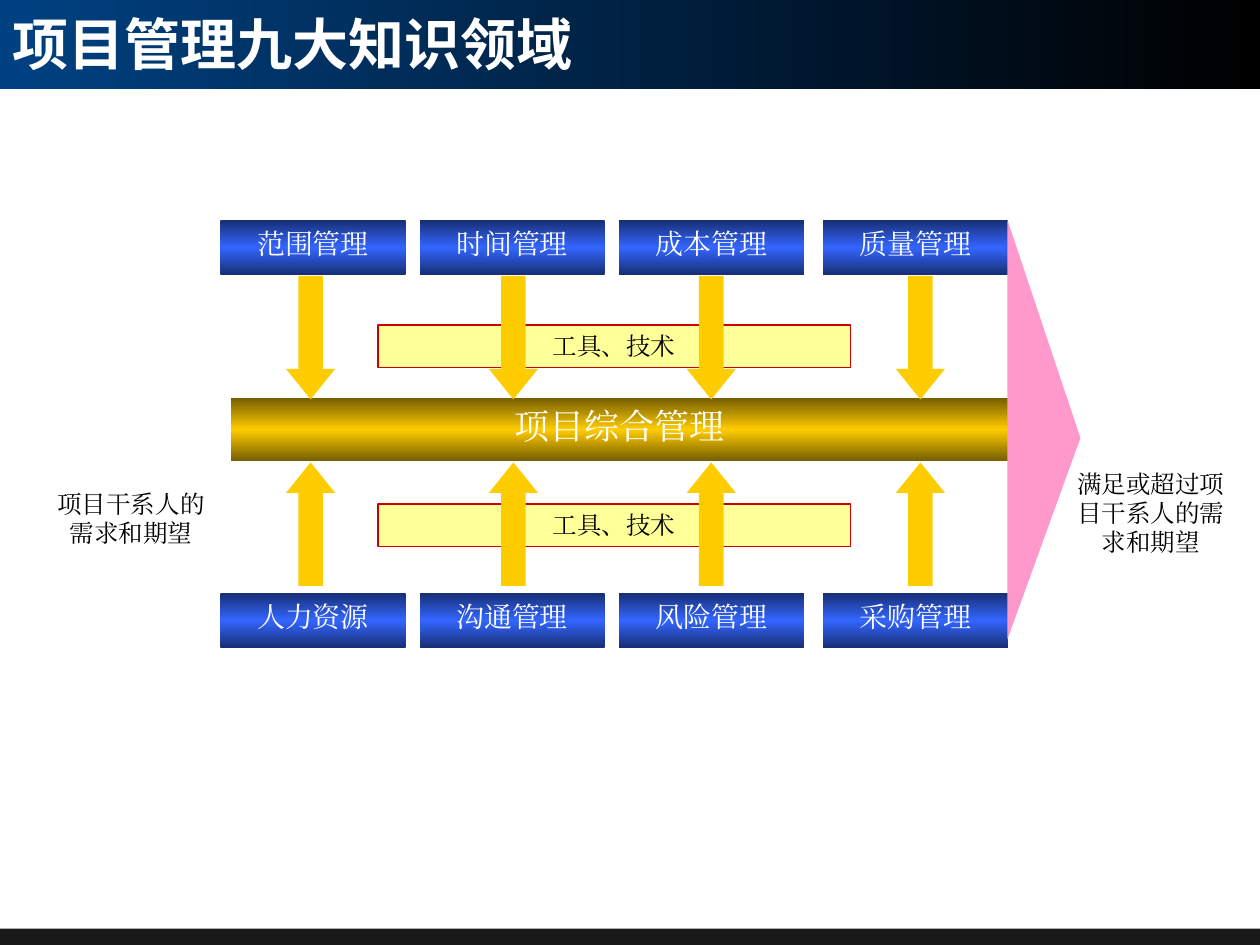
"""Build the slide on the nine knowledge areas of project management."""
from lxml.etree import SubElement
from pptx import Presentation
from pptx.dml.color import RGBColor
from pptx.enum.shapes import MSO_SHAPE as Shape
from pptx.enum.text import MSO_ANCHOR as Anchor, PP_ALIGN as Align
from pptx.oxml.ns import qn
from pptx.util import Inches, Pt


def add_block(kind, place, colors, angle=90, text="", size=14, color="000000"):
    block = slide.shapes.add_shape(kind, *map(Inches, place))
    block.shadow.inherit = False
    block.line.fill.background()
    if len(colors) == 1:
        block.fill.solid()
        block.fill.fore_color.rgb = RGBColor.from_string(colors[0])
    else:
        block.fill.gradient()
        block.fill.gradient_angle = -angle % 360
        stops = block.element.spPr.find(".//" + qn("a:gsLst"))
        stops[:] = []
        for index, stop_color in enumerate(colors):
            position = 100000 * index // (len(colors) - 1)
            stop = SubElement(stops, qn("a:gs"), pos=str(position))
            SubElement(stop, qn("a:srgbClr"), val=stop_color)
    if text:
        write(block, text, size, color)
    return block


def write(box, text, size, color, font="Times New Roman", align=Align.CENTER, anchor=Anchor.TOP, bold=False):
    frame = box.text_frame
    frame.word_wrap = True
    frame.vertical_anchor = anchor
    para = frame.paragraphs[0]
    para.alignment = align
    span = para.add_run()
    span.text = text
    for name, value in {"name": font, "size": Pt(size), "bold": bold}.items():
        setattr(span.font, name, value)
    span.font.color.rgb = RGBColor.from_string(color)
    SubElement(span.font._element, qn("a:ea"), typeface=font)


deck = Presentation()
deck.slide_width, deck.slide_height = Inches(10), Inches(7.5)
slide = deck.slides.add_slide(deck.slide_layouts[5])

add_block(Shape.RECTANGLE, (0, 0, 10, 0.71), ["004182", "000000"], angle=0)
footer = add_block(Shape.RECTANGLE, (0, 7.37, 10, 0.13), ["000000"])
SubElement(footer.element.spPr.find(".//" + qn("a:srgbClr")), qn("a:alpha"), val="90000")

title = slide.shapes.title
title_place = {"left": 0, "top": 0, "width": 5.74, "height": 0.68}
for name, value in title_place.items():
    setattr(title, name, Inches(value))
write(title, "项目管理九大知识领域", 32, "FFFFFF", "Noto Sans CJK SC", Align.LEFT, Anchor.MIDDLE, True)
slide.shapes._spTree.append(title.element)

stakeholder_notes = [
    ((8.42, 3.67, 1.43, 0.8), "满足或超过项目干系人的需求和期望"),
    ((0.33, 3.83, 1.42, 0.57), "项目干系人的需求和期望"),
]
for place, text in stakeholder_notes:
    note = slide.shapes.add_textbox(*map(Inches, place))
    write(note, text, 14, "000000")

for top in (4, 2.58):
    tools = add_block(Shape.RECTANGLE, (3, top, 3.75, 0.34), ["FFFF99"], text="工具、技术")
    tools.line.color.rgb = RGBColor.from_string("CC0000")
    tools.line.width = Pt(0.75)

area_lefts = (1.75, 3.33, 4.91, 6.53)
area_rows = [
    (1.75, ("范围管理", "时间管理", "成本管理", "质量管理")),
    (4.71, ("人力资源", "沟通管理", "风险管理", "采购管理")),
]
for top, areas in area_rows:
    for left, area in zip(area_lefts, areas):
        add_block(Shape.RECTANGLE, (left, top, 1.47, 0.43), ["182F76", "3366FF", "182F76"],
                  text=area, size=16, color="FFFFFF")

add_block(Shape.RECTANGLE, (1.83, 3.16, 6.17, 0.5), ["765E00", "FFCC00", "765E00"],
          text="项目综合管理", size=20, color="FFFFFF")

for kind, top in ((Shape.DOWN_ARROW, 2.19), (Shape.UP_ARROW, 3.67)):
    for left in (2.27, 3.88, 5.45, 7.11):
        arrow = add_block(kind, (left, top, 0.39, 0.98), ["FFCC00"])
        arrow.adjustments[1] = 0.62

outcome = add_block(Shape.ISOSCELES_TRIANGLE, (6.62, 3.12, 3.33, 0.58), ["FF99CC"])
outcome.adjustments[0] = 0.52
outcome.rotation = 90

deck.save("out.pptx")
